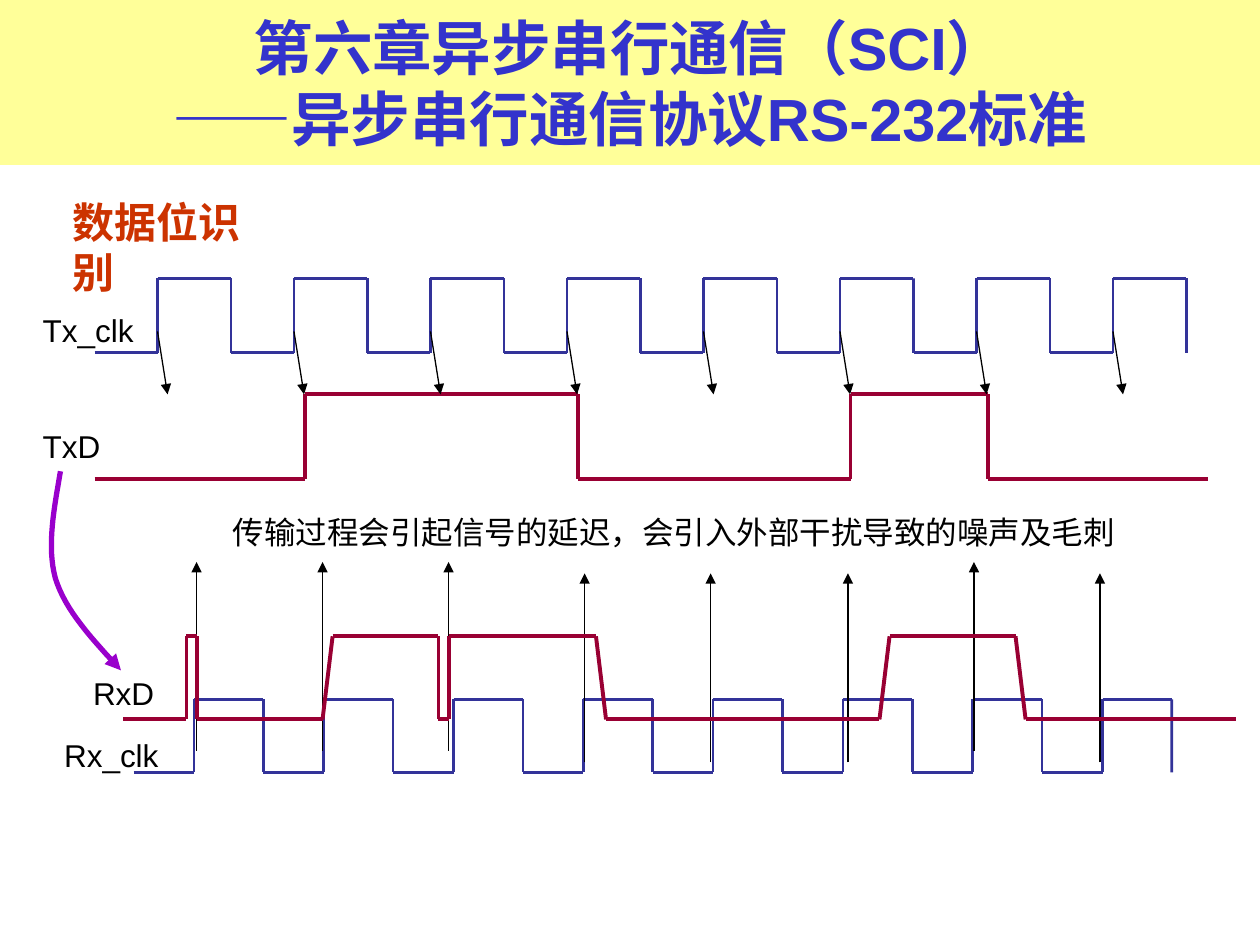
from dataclasses import dataclass

from pptx import Presentation
from pptx.dml.color import RGBColor
from pptx.enum.text import MSO_ANCHOR, MSO_AUTO_SIZE, PP_ALIGN
from pptx.enum.shapes import MSO_CONNECTOR
from pptx.oxml.ns import qn
from pptx.util import Inches, Pt
from lxml.etree import SubElement


@dataclass(frozen=True)
class Theme:
    ink: str = "000000"
    clock: str = "333399"
    data: str = "990033"
    delay: str = "9900CC"
    band: str = "FFFF99"
    title: str = "3333CC"
    heading: str = "CC3300"
    sans: str = "Arial"
    serif: str = "Times New Roman"
    title_size: int = 34
    heading_size: int = 24
    label_size: int = 18
    thin: float = 0.75
    medium: float = 1.5
    thick: float = 2.25
    heavy: float = 3


class TimingPage:
    def __init__(self, page, theme):
        self.page = page
        self.theme = theme

    def style_span(self, span, size, color, face, bold=False):
        span.font.size = Pt(size)
        span.font.bold = bold
        span.font.name = face
        span.font.color.rgb = RGBColor.from_string(color)

    def style_line(self, shape, color, width, arrow=False):
        shape.line.color.rgb = RGBColor.from_string(color)
        shape.line.width = Pt(width)
        if arrow:
            line = shape.line._get_or_add_ln()
            SubElement(line, qn("a:tailEnd")).set("type", "triangle")

    def title(self, first_line, dash, second_line, height):
        theme = self.theme
        box = self.page.shapes.title
        box.left, box.top, box.width, box.height = 0, 0, Inches(10), Inches(height)
        box.fill.solid()
        box.fill.fore_color.rgb = RGBColor.from_string(theme.band)
        frame = box.text_frame
        frame.auto_size = MSO_AUTO_SIZE.NONE
        frame.vertical_anchor = MSO_ANCHOR.MIDDLE
        para = frame.paragraphs[0]
        para.text = f"{first_line}\v{dash}"
        para.alignment = PP_ALIGN.CENTER
        para.add_run().text = second_line
        for span, face in zip(para.runs, (theme.sans, theme.serif, theme.sans)):
            self.style_span(span, theme.title_size, theme.title, face, True)

    def text(self, words, left, top, width, height, size, color, face, bold=False):
        box = self.page.shapes.add_textbox(
            Inches(left), Inches(top), Inches(width), Inches(height))
        frame = box.text_frame
        frame.word_wrap = False
        frame.auto_size = MSO_AUTO_SIZE.SHAPE_TO_FIT_TEXT
        frame.text = words
        self.style_span(frame.paragraphs[0].runs[0], size, color, face, bold)

    def label(self, words, left, top, width):
        theme = self.theme
        self.text(words, left, top, width, 0.4, theme.label_size, theme.ink,
                  theme.sans)

    def line(self, start, end, color, width, arrow=False):
        line = self.page.shapes.add_connector(
            MSO_CONNECTOR.STRAIGHT, *map(Inches, (*start, *end)))
        self.style_line(line, color, width, arrow)
        SubElement(line._element.spPr, qn("a:effectLst"))

    def arrow(self, start, end):
        self.line(start, end, self.theme.ink, self.theme.thin, True)

    def signal(self, points, color, width):
        for start, end in zip(points, points[1:]):
            self.line(start, end, color, width)

    def clock(self, left, period, low_width, low, high, cycles=8):
        points = []
        for cycle in range(cycles):
            start = left + cycle * period
            rise, fall = start + low_width, start + period
            points += [(start, low), (rise, low), (rise, high), (fall, high)]
        points.append((left + cycles * period, low))
        self.signal(points, self.theme.clock, self.theme.medium)

    def curve(self, start, pieces, steps=16):
        points = [start]
        for control_a, control_b, end in pieces:
            corners = (points[-1], control_a, control_b, end)
            for step in range(1, steps + 1):
                t = step / steps
                weights = ((1 - t) ** 3, 3 * t * (1 - t) ** 2,
                           3 * t ** 2 * (1 - t), t ** 3)
                points.append(tuple(
                    sum(w * corner[axis] for w, corner in zip(weights, corners))
                    for axis in (0, 1)))
        outline = [(Inches(x), Inches(y)) for x, y in points]
        builder = self.page.shapes.build_freeform(*outline[0])
        builder.add_line_segments(outline[1:], close=False)
        shape = builder.convert_to_shape()
        shape.shadow.inherit = False
        shape.fill.background()
        self.style_line(shape, self.theme.delay, self.theme.heavy, True)


def main():
    deck = Presentation()
    deck.slide_width, deck.slide_height = Inches(10), Inches(7.5)
    theme = Theme()
    timing = TimingPage(deck.slides.add_slide(deck.slide_layouts[5]), theme)

    timing.title("第六章异步串行通信（SCI）", "——", "异步串行通信协议RS-232标准", 1.31)
    timing.text("数据位识别", 0.48, 1.51, 1.86, 0.5, theme.heading_size,
                theme.heading, theme.serif, bold=True)

    bit_width = 13 / 12
    timing.clock(0.75, bit_width, 0.5, 2.8, 2.21)
    timing.label("Tx_clk", 0.24, 2.42, 0.92)
    timing.clock(1.06, 1.03, 0.48, 6.13, 5.55)
    timing.label("Rx_clk", 0.41, 5.79, 0.95)

    for x, bottom in ((1.56, 5.96), (2.56, 5.96), (3.56, 5.96), (4.64, 6.05),
                      (5.64, 6.05), (6.73, 6.05), (7.73, 5.96), (8.73, 6.05)):
        timing.arrow((x, bottom), (x, bottom - 1.5))

    high, low = 3.13, 3.8
    sent = [(0.75, low), (2.42, low), (2.42, high), (4.59, high), (4.59, low),
            (6.75, low), (6.75, high), (7.84, high), (7.84, low), (9.59, low)]
    timing.signal(sent, theme.data, theme.thick)
    timing.label("TxD", 0.24, 3.34, 0.66)
    for bit in range(8):
        x = 1.25 + bit * bit_width
        timing.arrow((x, 2.63), (x + 0.08, high))

    high, low = 5.05, 5.71
    received = [(0.98, low), (1.48, low), (1.48, high), (1.56, high), (1.56, low),
                (2.56, low), (2.64, high), (3.48, high), (3.48, low), (3.56, low),
                (3.56, high), (4.73, high), (4.81, low), (6.98, low),
                (7.06, high), (8.06, high), (8.14, low), (9.81, low)]
    timing.signal(received, theme.data, theme.thick)
    timing.label("RxD", 0.64, 5.3, 0.7)

    timing.label("传输过程会引起信号的延迟，会引入外部干扰导致的噪声及毛刺", 1.75, 4.02, 7.2)
    timing.curve((0.48, 3.74), [((0.43, 4.04), (0.37, 4.33), (0.44, 4.59)),
                                ((0.52, 4.85), (0.74, 5.08), (0.96, 5.32))])

    deck.save("out.pptx")


if __name__ == "__main__":
    main()
